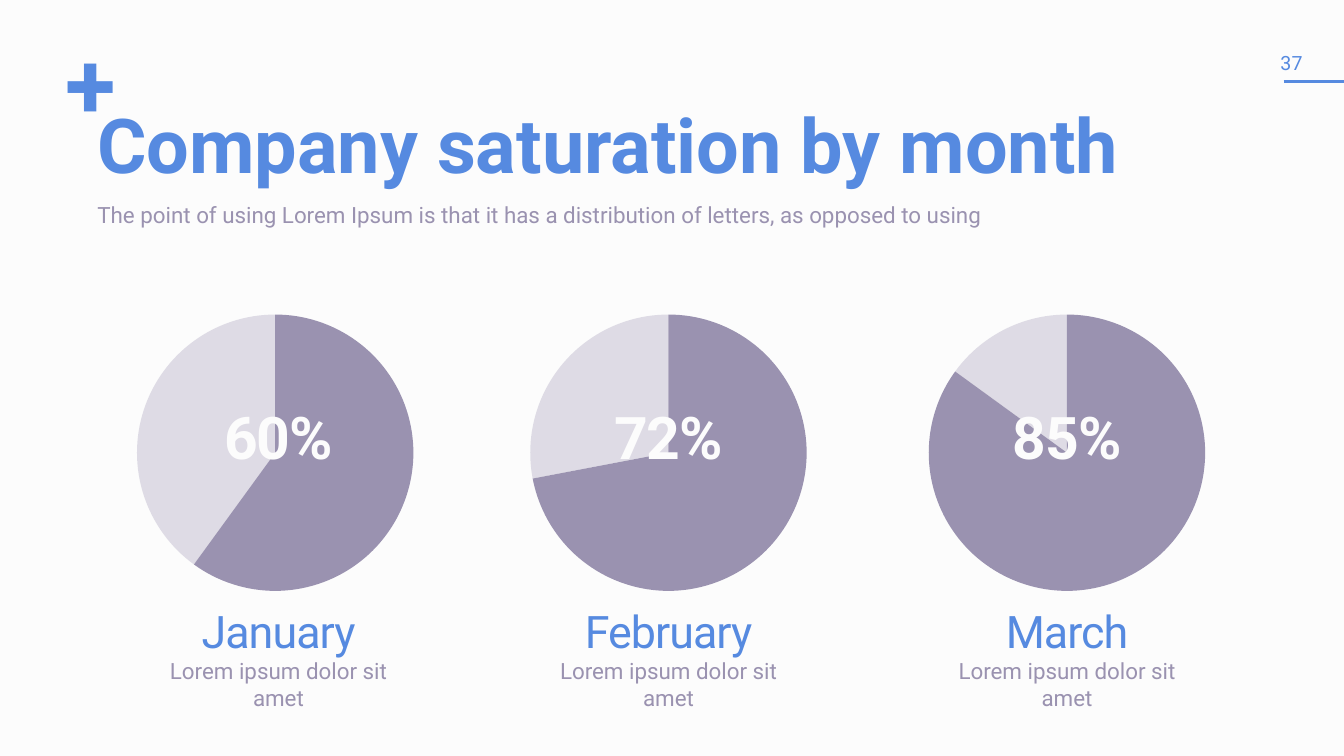
"""Build a slide of three monthly saturation pies."""
from dataclasses import dataclass

from lxml.etree import SubElement
from pptx import Presentation
from pptx.chart.data import CategoryChartData
from pptx.dml.color import RGBColor
from pptx.enum.chart import XL_CHART_TYPE
from pptx.enum.shapes import MSO_CONNECTOR
from pptx.enum.text import MSO_ANCHOR, PP_ALIGN
from pptx.oxml import parse_xml
from pptx.oxml.ns import nsdecls, qn
from pptx.util import Inches, Pt

TITLE = "Company saturation by month"
SUBTITLE = "The point of using Lorem Ipsum is that it has a distribution of letters, as opposed to using"
PAGE = "37"
CAPTION = "Lorem ipsum dolor sit amet"
MONTHS = [
    {"name": "January", "percent": 60, "pie_center": 20.48, "label_center": 20.72},
    {"name": "February", "percent": 72, "pie_center": 49.74, "label_center": 49.74},
    {"name": "March", "percent": 85, "pie_center": 79.39, "label_center": 79.39},
]


@dataclass(frozen=True)
class Theme:
    paper: str = "FCFCFC"
    accent: str = "568AE0"
    muted: str = "9A92B0"
    ink: str = "15243B"
    font: str = "Roboto"
    chart_font: str = "Calibri"
    plus: int = 66
    title: int = 54
    percent: int = 42
    month: int = 32
    body: int = 16
    page: int = 14
    chart: int = 10
    rest_alpha: int = 30


THEME = Theme()
WIDTH, HEIGHT = Inches(13.33), Inches(7.5)
PIE_WIDTH, PIE_TOP, PIE_HEIGHT = 20.78, 41.43, 36.93
PERCENT_WIDTH, PERCENT_TOP, PERCENT_HEIGHT = 12, 54.13, 8.93
CAPTION_WIDTH, CAPTION_TOP, CAPTION_HEIGHT = 20.93, 79.2, 11.87


def cell(left, top, width, height):
    """Turn percentages of the slide into lengths."""
    return (int(WIDTH * left / 100), int(HEIGHT * top / 100),
            int(WIDTH * width / 100), int(HEIGHT * height / 100))


def color(code):
    return RGBColor.from_string(code)


def write(paragraph, text, *, size, ink=THEME.accent, bold=False,
          align=PP_ALIGN.LEFT, leading=1.0, tracking=0):
    run = paragraph.add_run()
    run.text = text
    run.font.name, run.font.size, run.font.bold = THEME.font, Pt(size), bold
    run.font.color.rgb = color(ink)
    run.font._element.set("spc", str(tracking))
    paragraph.alignment, paragraph.line_spacing = align, leading
    paragraph.space_before = Pt(0)


def set_frame(shape, box, *, inset=0.05, anchor=MSO_ANCHOR.TOP, wrap=True):
    shape.left, shape.top, shape.width, shape.height = cell(*box)
    frame = shape.text_frame
    frame.margin_left = frame.margin_right = Inches(inset)
    frame.margin_top = frame.margin_bottom = Inches(0.05)
    frame.vertical_anchor, frame.word_wrap = anchor, wrap
    return frame


def add_frame(slide, box, **layout):
    return set_frame(slide.shapes.add_textbox(0, 0, 0, 0), box, **layout)


def add_pie(slide, month):
    share = CategoryChartData()
    share.categories = ["1", "2"]
    share.add_series("Series 1", (month["percent"], 100 - month["percent"]))
    left = month["pie_center"] - PIE_WIDTH / 2
    chart = slide.shapes.add_chart(
        XL_CHART_TYPE.PIE, *cell(left, PIE_TOP, PIE_WIDTH, PIE_HEIGHT), share).chart
    chart.has_legend = chart.has_title = False
    chart.font.name, chart.font.size = THEME.chart_font, Pt(THEME.chart)
    chart.font.color.rgb = color(THEME.ink)
    plot = chart.plots[0]
    plot.vary_by_categories = False
    for index in range(2):
        slice_format = plot.series[0].points[index].format
        slice_format.fill.solid()
        slice_format.fill.fore_color.rgb = color(THEME.muted)
        slice_format.line.fill.background()
    tint = slice_format.fill._xPr.find(".//" + qn("a:srgbClr"))
    SubElement(tint, qn("a:alpha")).set("val", str(THEME.rest_alpha * 1000))
    area = chart._chartSpace.chart.plotArea
    for layout in area.findall(qn("c:layout")):
        area.remove(layout)
    area.insert(0, parse_xml(
        f'<c:layout {nsdecls("c")}><c:manualLayout><c:layoutTarget val="inner"/>'
        '<c:xMode val="edge"/><c:yMode val="edge"/><c:x val="0.005"/><c:y val="0.005"/>'
        '<c:w val="0.99"/><c:h val="0.99"/></c:manualLayout></c:layout>'))


def add_month_labels(slide, month):
    center = month["label_center"]
    percent = add_frame(slide, (center - PERCENT_WIDTH / 2, PERCENT_TOP,
                                PERCENT_WIDTH, PERCENT_HEIGHT), wrap=False)
    write(percent.paragraphs[0], f"{month['percent']}%", size=THEME.percent, ink=THEME.paper,
          bold=True, align=PP_ALIGN.CENTER, leading=0.8, tracking=-70)
    caption = add_frame(slide, (center - CAPTION_WIDTH / 2, CAPTION_TOP,
                                CAPTION_WIDTH, CAPTION_HEIGHT), inset=0.1)
    write(caption.paragraphs[0], month["name"], size=THEME.month,
          align=PP_ALIGN.CENTER, tracking=-70)
    write(caption.add_paragraph(), CAPTION, size=THEME.body, ink=THEME.muted,
          align=PP_ALIGN.CENTER)


def add_header(slide):
    plus = add_frame(slide, (4.5, 5.6, 4.58, 15.6), wrap=False)
    write(plus.paragraphs[0], "+", size=THEME.plus, bold=True, leading=0.8)
    rule_left, rule_top, rule_width, _ = cell(95.5, 10.75, 4.5, 0)
    rule = slide.shapes.add_connector(MSO_CONNECTOR.STRAIGHT, rule_left, rule_top,
                                      rule_left + rule_width, rule_top)
    rule.line.color.rgb, rule.line.width = color(THEME.accent), Pt(2)
    SubElement(rule._element.spPr, qn("a:effectLst"))
    page = add_frame(slide, (94.75, 5.87, 2.7, 4.93), inset=0.07,
                     anchor=MSO_ANCHOR.MIDDLE, wrap=False)
    write(page.paragraphs[0], PAGE, size=THEME.page)
    title = set_frame(slide.shapes.title, (6.87, 15.1, 86.25, 12.93))
    write(title.paragraphs[0], TITLE, size=THEME.title, bold=True, leading=0.75)
    subtitle = set_frame(slide.placeholders[1], (6.87, 27.2, 86.25, 8.27))
    properties = subtitle.paragraphs[0]._p.get_or_add_pPr()
    properties.set("marL", "0")
    properties.set("indent", "0")
    SubElement(properties, qn("a:buNone"))
    write(subtitle.paragraphs[0], SUBTITLE, size=THEME.body, ink=THEME.muted, leading=0.6)


def main():
    deck = Presentation()
    deck.slide_width, deck.slide_height = WIDTH, HEIGHT
    slide = deck.slides.add_slide(deck.slide_layouts[1])
    slide.background.fill.solid()
    slide.background.fill.fore_color.rgb = color(THEME.paper)
    add_header(slide)
    for month in MONTHS:
        add_pie(slide, month)
        add_month_labels(slide, month)
    deck.save("out.pptx")


if __name__ == "__main__":
    main()
